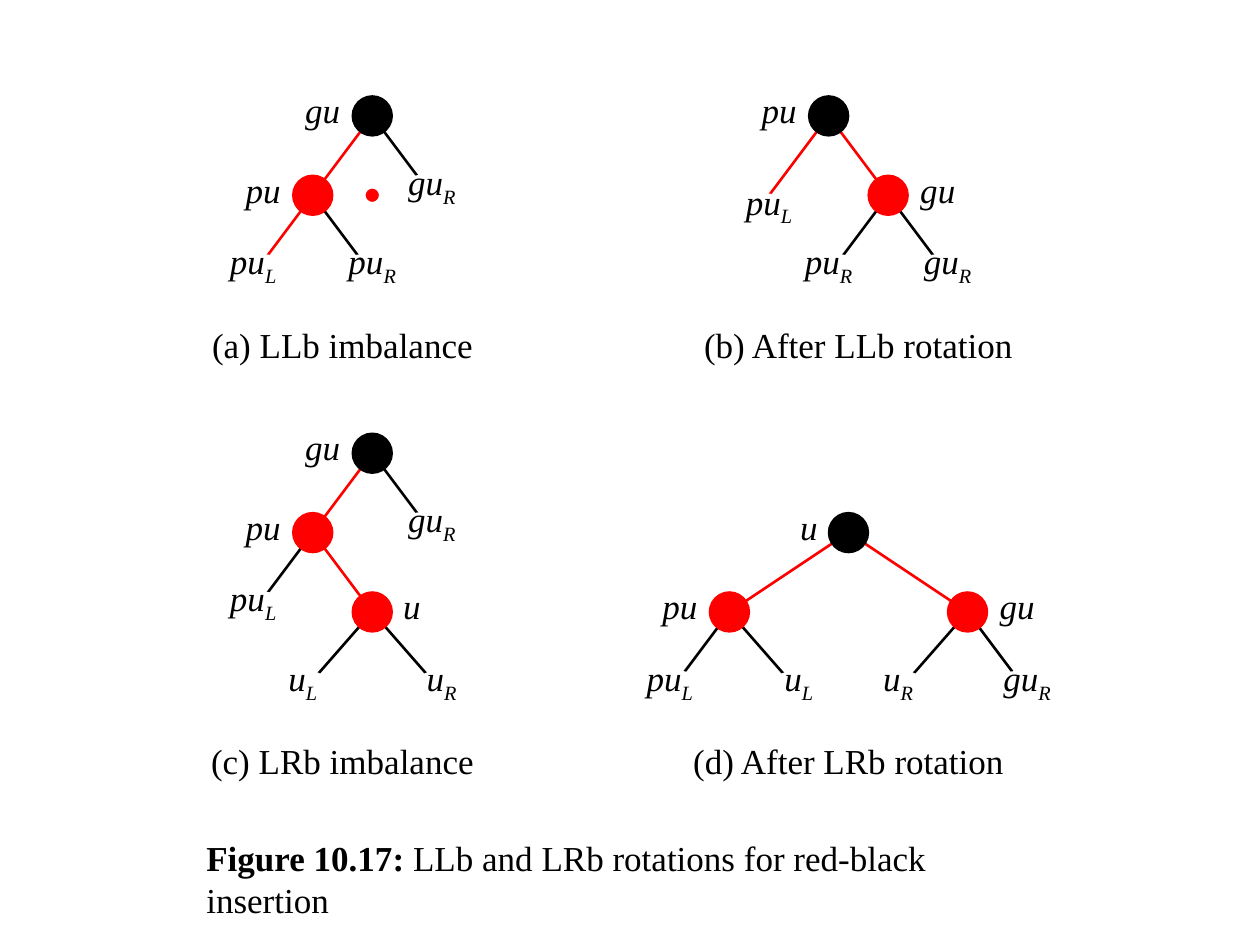
from dataclasses import dataclass

from lxml.etree import SubElement
from pptx import Presentation
from pptx.dml.color import RGBColor
from pptx.enum.shapes import MSO_CONNECTOR as Connector, MSO_SHAPE as Preset
from pptx.enum.text import MSO_ANCHOR as Anchor, MSO_AUTO_SIZE as AutoSize, PP_ALIGN as Align
from pptx.oxml.ns import qn
from pptx.util import Inches, Mm, Pt

BLACK, RED, WHITE = "000000", "FF0000", "FFFFFF"
UNIT = Mm(4)
LEFT, TOP = Inches(0.12), Inches(0.92)
LEVEL = 4


@dataclass(frozen=True)
class Leaf:
    name: str
    side: str
    shift: float
    edge: str = BLACK
    drop: int = 0


@dataclass(frozen=True)
class Node:
    name: str
    children: tuple
    shift: float = 0
    fill: str = RED
    edge: str = RED
    label_right: bool = False


@dataclass(frozen=True)
class Panel:
    column: int
    row: int
    root: Node
    caption: str
    caption_column: int
    caption_row: int
    caption_width: int


PANELS = (
    Panel(18, 0, Node("gu", (
        Node("pu", (Leaf("pu", "L", -3, RED), Leaf("pu", "R", 3)), -3),
        Leaf("gu", "R", 3)), fill=BLACK), "(a) LLb imbalance", 9, 10, 15),
    Panel(41, 0, Node("pu", (
        Leaf("pu", "L", -3, RED, drop=1),
        Node("gu", (Leaf("pu", "R", -3), Leaf("gu", "R", 3)), 3, label_right=True)),
        fill=BLACK), "(b) After LLb rotation", 34, 10, 17),
    Panel(18, 17, Node("gu", (
        Node("pu", (
            Leaf("pu", "L", -3),
            Node("u", (Leaf("u", "L", -3.5), Leaf("u", "R", 3.5)), 3, label_right=True)), -3),
        Leaf("gu", "R", 3)), fill=BLACK), "(c) LRb imbalance", 9, 31, 15),
    Panel(42, 21, Node("u", (
        Node("pu", (Leaf("pu", "L", -3), Leaf("u", "L", 3.5)), -6),
        Node("gu", (Leaf("u", "R", -3.5), Leaf("gu", "R", 3)), 6, label_right=True)),
        fill=BLACK), "(d) After LRb rotation", 33, 31, 18),
)


def color(value: str) -> RGBColor:
    return RGBColor.from_string(value)


def x_at(column: float) -> int:
    return round(LEFT + column * UNIT)


def y_at(row: float) -> int:
    return round(TOP + row * UNIT)


def area(column: float, row: float, width: float, height: float) -> tuple:
    return x_at(column), y_at(row), round(width * UNIT), round(height * UNIT)


def add_run(para, text: str, italic: bool = False, bold: bool = False):
    run = para.add_run()
    run.text = text
    font = run.font
    font.name, font.size = "Times New Roman", Pt(20)
    font.italic, font.bold = italic, bold
    font.color.rgb = color(BLACK)
    return run


def center_text(shape, anchor, margins: tuple):
    frame = shape.text_frame
    frame.word_wrap = False
    frame.vertical_anchor = anchor
    (frame.margin_left, frame.margin_top,
     frame.margin_right, frame.margin_bottom) = map(Inches, margins)
    para = frame.paragraphs[0]
    para.alignment = Align.CENTER
    return para


def draw_ellipse(page, column: float, row: float, width: float,
                 fill: str, line: str, weight: float):
    shape = page.shapes.add_shape(
        Preset.OVAL, *area(column - width / 2, row - 1, width, 2))
    shape.shadow.inherit = False
    shape.fill.solid()
    shape.fill.fore_color.rgb = color(fill)
    shape.line.color.rgb = color(line)
    shape.line.width = Pt(weight)
    return shape


def draw_edge(page, start: tuple, end: tuple, line: str) -> None:
    edge = page.shapes.add_connector(
        Connector.STRAIGHT, x_at(start[0]), y_at(start[1]), x_at(end[0]), y_at(end[1]))
    edge.line.color.rgb = color(line)
    edge.line.width = Pt(1.5)
    SubElement(edge._element.spPr, qn("a:effectLst"))


def draw_leaf(page, leaf: Leaf, column: float, row: float) -> None:
    shape = draw_ellipse(page, column, row + leaf.drop, len(leaf.name) + 2, WHITE, WHITE, 1.75)
    para = center_text(shape, Anchor.BOTTOM, (0, 0, 0, 0.01))
    add_run(para, leaf.name, italic=True)
    subscript = add_run(para, leaf.side, italic=True)
    subscript._r.get_or_add_rPr().set("baseline", "-25000")


def draw_node(page, node: Node, column: float, row: float) -> None:
    for child in node.children:
        end = (column + child.shift, row + LEVEL)
        draw_edge(page, (column, row), end, child.edge)
        draw = draw_leaf if isinstance(child, Leaf) else draw_node
        draw(page, child, *end)
    draw_ellipse(page, column, row, 2, node.fill, node.fill, 1)
    width = len(node.name) + 1
    start = column + 1 if node.label_right else column - 1 - width
    box = page.shapes.add_textbox(*area(start, row - 1, width, 2))
    add_run(center_text(box, Anchor.BOTTOM, (0.08, 0, 0.08, 0.04)), node.name, italic=True)


def draw_panel(page, panel: Panel) -> None:
    draw_node(page, panel.root, panel.column, panel.row)
    box = page.shapes.add_textbox(
        *area(panel.caption_column, panel.caption_row, panel.caption_width, 3))
    add_run(center_text(box, Anchor.MIDDLE, (0.1, 0.05, 0.1, 0.05)), panel.caption)


def write_figure_caption(page) -> None:
    title, body = page.placeholders
    title._element.getparent().remove(title._element)
    body.left, body.top, body.width, body.height = area(9, 36, 44, 3)
    frame = body.text_frame
    frame.word_wrap = True
    frame.auto_size = AutoSize.NONE
    frame.vertical_anchor = Anchor.TOP
    para = frame.paragraphs[0]
    para.alignment = Align.LEFT
    para.space_before = Pt(4)
    properties = para._p.get_or_add_pPr()
    properties.set("marL", "0")
    properties.set("indent", "0")
    SubElement(properties, qn("a:buNone"))
    add_run(para, "Figure 10.17: ", bold=True)
    add_run(para, "LLb and LRb rotations for red-black insertion")


def main() -> None:
    deck = Presentation()
    deck.slide_width, deck.slide_height = Inches(10), Inches(7.5)
    page = deck.slides.add_slide(deck.slide_layouts[1])
    write_figure_caption(page)
    for panel in PANELS:
        draw_panel(page, panel)
    draw_ellipse(page, 18, LEVEL, 2, RED, WHITE, 15)
    deck.save("out.pptx")


if __name__ == "__main__":
    main()
